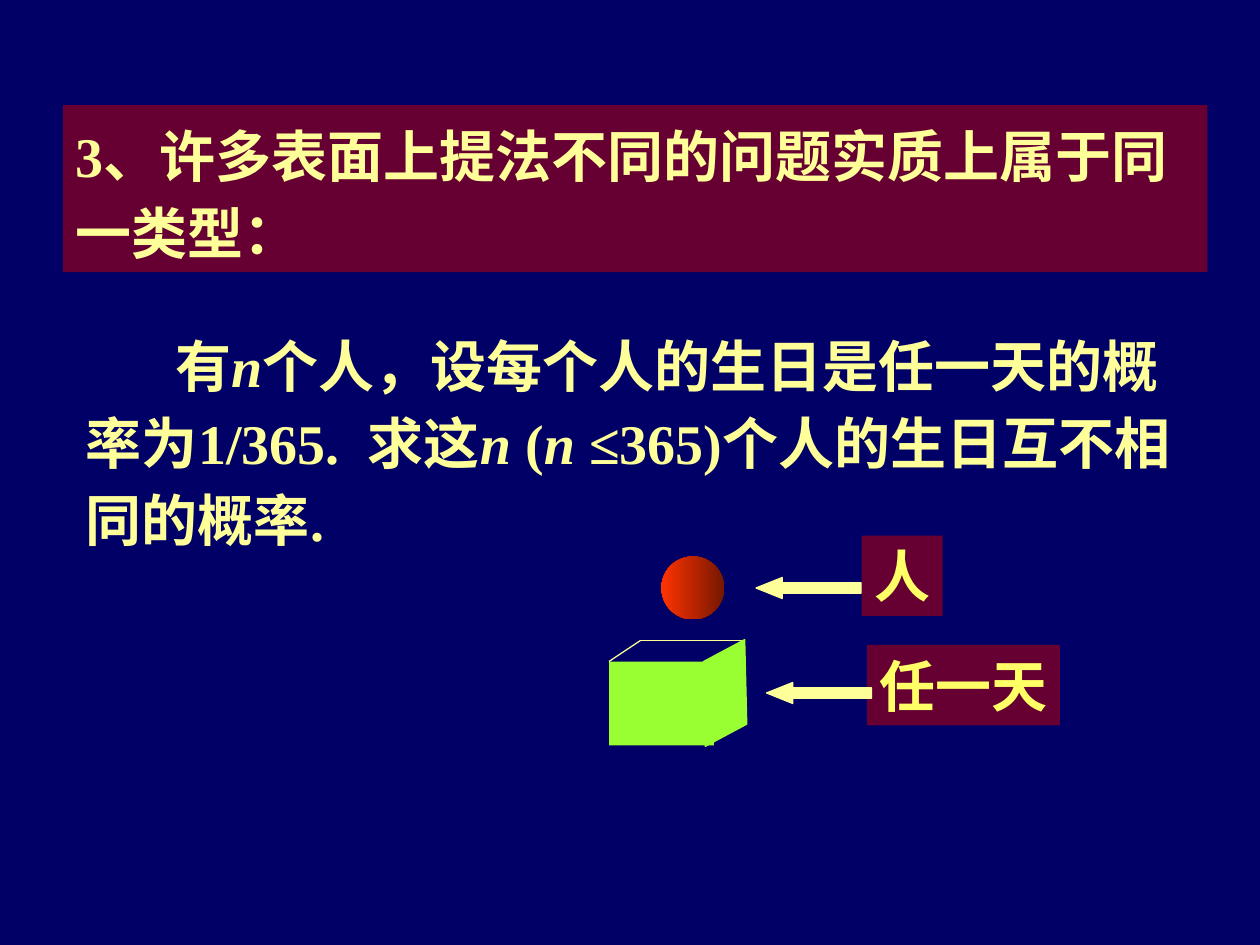
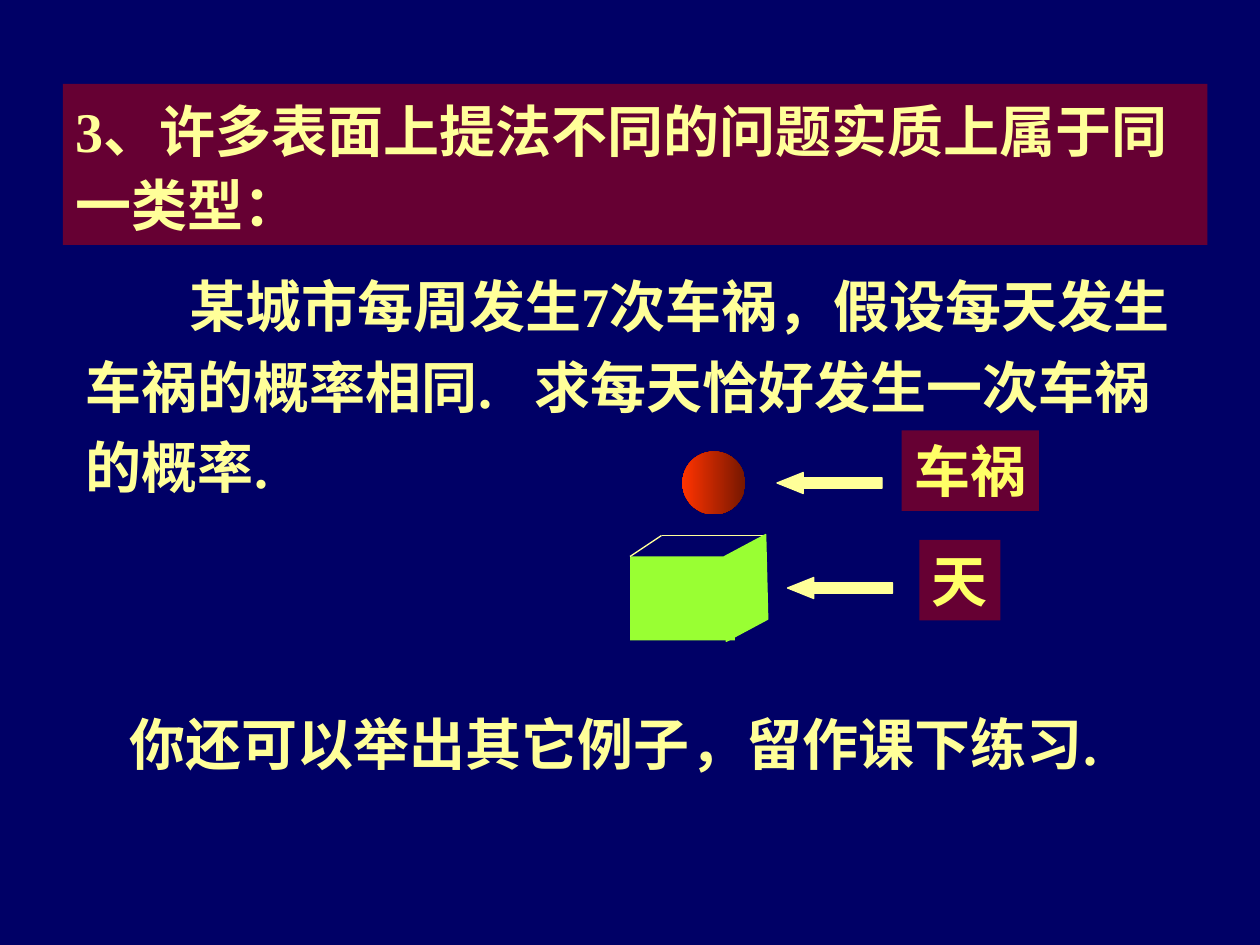
from dataclasses import dataclass
from typing import Optional

from lxml import etree
from pptx import Presentation
from pptx import util as u
from pptx.dml import color as c
from pptx.enum import shapes as es, text as et
from pptx.oxml import ns

Pt = u.Pt
Kind = es.MSO_SHAPE


@dataclass(frozen=True)
class Theme:
    """Colours, type and line sizes shared by the slides."""
    navy: str = "000066"
    wine: str = "660033"
    cream: str = "FFFF99"
    lemon: str = "FFFF66"
    lime: str = "99FF33"
    red: str = "FF3300"
    rust: str = "751700"
    font: str = "Times New Roman"
    size: float = 32
    line: float = 0.75


@dataclass(frozen=True)
class Span:
    """A stretch of text, in italics or with extra space after each letter."""
    text: str
    slant: bool = False
    space: float = 0


@dataclass(frozen=True)
class Block:
    """A paragraph box with its place and spacing."""
    x: float
    y: float
    w: float
    h: float
    spans: tuple[Span, ...]
    lead: Optional[float] = None
    first: float = 0
    fill: Optional[str] = None
    wrap: bool = True


@dataclass(frozen=True)
class Tag:
    """A label centred at mid, beside the ball or the box."""
    text: str
    mid: float


@dataclass(frozen=True)
class Model:
    """A ball-and-box drawing placed by the corner of the box."""
    x: float
    y: float
    ball: Tag
    box: Tag


@dataclass(frozen=True)
class Page:
    """All that one slide holds."""
    blocks: tuple[Block, ...]
    model: Model


T = Theme()
N = Span("n", slant=True)


def rgb(code: str) -> c.RGBColor:
    """Turn a hex code into a colour."""
    return c.RGBColor.from_string(code)


def write(shape, spans: tuple[Span, ...], tint: str, wrap: bool):
    """Put styled spans in a shape and return the paragraph."""
    frame = shape.text_frame
    frame.word_wrap = wrap
    frame.auto_size = et.MSO_AUTO_SIZE.SHAPE_TO_FIT_TEXT
    frame.vertical_anchor = et.MSO_ANCHOR.TOP
    para = frame.paragraphs[0]
    para.alignment = et.PP_ALIGN.LEFT if wrap else et.PP_ALIGN.CENTER
    for span in spans:
        run = para.add_run()
        run.text = span.text
        font = run.font
        font.name, font.size, font.bold = T.font, Pt(T.size), True
        font.italic = span.slant
        font.color.rgb = rgb(tint)
        if span.space:
            run._r.get_or_add_rPr().set("spc", str(round(span.space * 100)))
    return para


def solid(pen, kind: Kind, x: float, y: float, w: float, h: float,
          fill: str, edge: Optional[str] = None):
    """Add a flat preset shape."""
    shape = pen.add_shape(kind, Pt(x), Pt(y), Pt(w), Pt(h))
    shape.shadow.inherit = False
    shape.fill.solid()
    shape.fill.fore_color.rgb = rgb(fill)
    if edge:
        shape.line.color.rgb = rgb(edge)
        shape.line.width = Pt(T.line)
    else:
        shape.line.fill.background()
    return shape


def stroke(pen, start: tuple[float, float], end: tuple[float, float]) -> None:
    """Draw a thin straight line."""
    line = pen.add_connector(es.MSO_CONNECTOR.STRAIGHT, *map(Pt, start + end))
    line.line.color.rgb = rgb(T.cream)
    line.line.width = Pt(T.line)
    etree.SubElement(line._element.spPr, ns.qn("a:effectLst"))


def prose(pen, block: Block) -> None:
    """Draw a paragraph box."""
    place = block.x, block.y, block.w, block.h
    if block.fill:
        shape = solid(pen, Kind.RECTANGLE, *place, block.fill)
    else:
        shape = pen.add_textbox(*map(Pt, place))
    para = write(shape, block.spans, T.cream, block.wrap)
    if block.lead:
        para.line_spacing = block.lead
        para.space_before = Pt(20)
    if block.first:
        para._p.get_or_add_pPr().set("indent", str(Pt(block.first)))


def label(pen, tag: Tag, y: float) -> None:
    """Draw a label as wide as its text."""
    wide = T.size * len(tag.text) + 14.4
    shape = solid(pen, Kind.RECTANGLE, tag.mid - wide / 2, y, wide, 46, T.wine)
    write(shape, (Span(tag.text),), T.lemon, False)


def draw(pen, model: Model) -> None:
    """Draw the ball, the open box, their labels and arrows."""
    x, y = model.x, model.y
    ball = solid(pen, Kind.OVAL, x + 30, y - 60, 36, 36, T.red)
    ball.fill.gradient()
    ball.fill.gradient_angle = 180
    for stop, tint in zip(ball.fill.gradient_stops, (T.rust, T.red)):
        stop.color.rgb = rgb(tint)
    solid(pen, Kind.RECTANGLE, x, y, 60, 48, T.lime)
    rim = [(x, y), (x + 18, y - 12), (x + 78, y - 12)]
    for start, end in zip(rim, rim[1:]):
        stroke(pen, start, end)
    side = solid(pen, Kind.FLOWCHART_DATA, x + 36, y + 6, 60.5, 24, T.lime, T.lime)
    side.rotation = 88.6
    side._element.spPr.xfrm.set("flipV", "1")
    label(pen, model.ball, y - 72)
    label(pen, model.box, y - 9.5)
    for dx, dy in ((84, -48), (90, 12)):
        arrow = solid(pen, Kind.LEFT_ARROW, x + dx, y + dy, 60, 12, T.cream, T.cream)
        arrow.adjustments[1] = 1.25


def title(y: float, h: float, lead: float) -> Block:
    """Give the shared heading at its height on the slide."""
    words = Span("3、许多表面上提法不同的问题实质上属于同一类型：")
    return Block(36, y, 654, h, (words,), lead, fill=T.wine)


PAGES = (
    Page(
        (
            title(60, 95.5, 1.15),
            Block(42, 180, 642, 140, (
                Span("有"), N,
                Span("个人，设每个人的生日是任一天的概率为1/365."),
                Span(" ", space=8), Span("求这"), N, Span(" ("), N,
                Span(" ≤365)个人的生日互不相同的概率."),
            ), 1.15, 51),
        ),
        Model(348, 378, Tag("人", 515.5), Tag("任一天", 550.5)),
    ),
    Page(
        (
            title(48, 92, 1.1),
            Block(42, 144, 642, 145.5, (
                Span("某城市每周发生7次车祸，假设每天发生车祸的概率相同."),
                Span(" ", space=16), Span("求每天恰好发生一次车祸的概率."),
            ), 1.2, 59),
            Block(63, 402, 575, 46,
                  (Span("你还可以举出其它例子，留作课下练习."),), wrap=False),
        ),
        Model(360, 318, Tag("车祸", 554.5), Tag("天", 548.5)),
    ),
)


def main() -> None:
    """Build and save the slides."""
    deck = Presentation()
    deck.slide_width, deck.slide_height = Pt(720), Pt(540)
    for page in PAGES:
        slide = deck.slides.add_slide(deck.slide_layouts[6])
        slide.background.fill.solid()
        slide.background.fill.fore_color.rgb = rgb(T.navy)
        for block in page.blocks:
            prose(slide.shapes, block)
        draw(slide.shapes.add_group_shape().shapes, page.model)
    deck.save("out.pptx")


if __name__ == "__main__":
    main()
